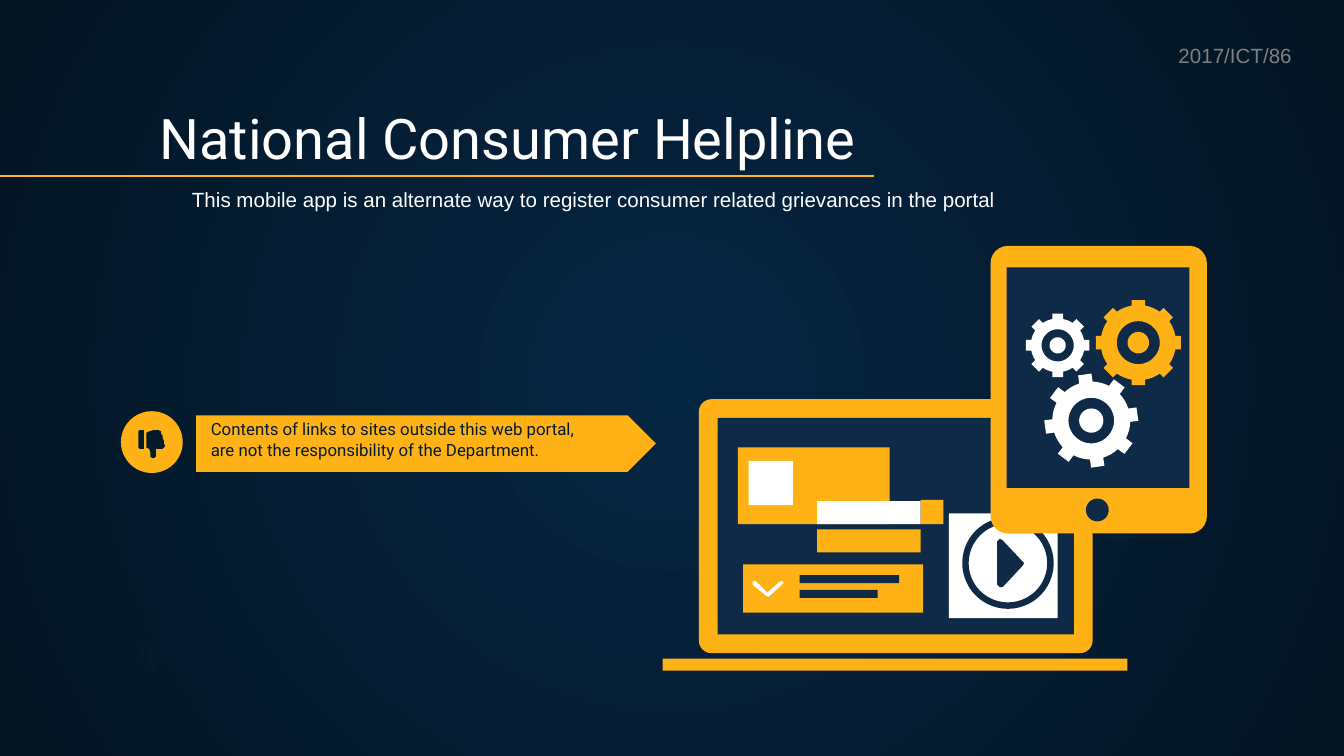
"""Build the National Consumer Helpline slide with its laptop and tablet artwork."""
from math import cos, sin, radians, asin, pi

from lxml.etree import SubElement
from pptx import Presentation
from pptx.dml.color import RGBColor
from pptx.enum.shapes import MSO_CONNECTOR, MSO_SHAPE
from pptx.enum.text import MSO_ANCHOR
from pptx.oxml.ns import qn
from pptx.util import Inches, Pt

AMBER = RGBColor(0xFF, 0xB2, 0x15)
NAVY = RGBColor(0x0E, 0x2A, 0x47)
WHITE = RGBColor(0xFF, 0xFF, 0xFF)
INK = RGBColor(0x04, 0x1B, 0x2E)
GRAY = RGBColor(0x80, 0x80, 0x80)
GLOW = RGBColor(0x05, 0x26, 0x43)
EDGE = RGBColor(0x04, 0x15, 0x23)

presentation = Presentation()
presentation.slide_width = Inches(10)
presentation.slide_height = Inches(10 * 9 / 16)
slide = presentation.slides.add_slide(presentation.slide_layouts[6])


def add_text(text, left, top, width, height, size=11, font="Arial", color=WHITE,
             anchor=MSO_ANCHOR.TOP, inset=0.1, wrap=True):
    box = slide.shapes.add_textbox(Inches(left), Inches(top), Inches(width), Inches(height))
    frame = box.text_frame
    frame.word_wrap = wrap
    frame.vertical_anchor = anchor
    frame.margin_left = frame.margin_right = Inches(0.1)
    frame.margin_top = frame.margin_bottom = Inches(inset)
    paragraph = frame.paragraphs[0]
    paragraph.text = text
    for run in paragraph.runs:
        run.font.size = Pt(size)
        run.font.name = font
        run.font.color.rgb = color


def paint(shape, color):
    shape.shadow.inherit = False
    shape.fill.solid()
    shape.fill.fore_color.rgb = color
    shape.line.fill.background()


fill = slide.background.fill
fill.gradient()
for stop, color, position in zip(fill.gradient_stops, (GLOW, EDGE), (0, 1)):
    stop.color.rgb = color
    stop.position = position
gradient = slide.background._cSld.find(".//" + qn("a:gradFill"))
gradient.remove(gradient.find(qn("a:lin")))
circle_path = SubElement(gradient, qn("a:path"), {"path": "circle"})
SubElement(circle_path, qn("a:fillToRect"), {side: "50000" for side in "ltrb"})

RECTANGLE = MSO_SHAPE.RECTANGLE
ROUNDED = MSO_SHAPE.ROUNDED_RECTANGLE
OVAL = MSO_SHAPE.OVAL
presets = [
    (MSO_SHAPE.PENTAGON, 1.46, 3.09, 3.42, 0.42, AMBER, 0.5),
    (OVAL, 0.9, 3.06, 0.46, 0.46, AMBER, None),
    (ROUNDED, 5.2, 2.97, 2.93, 1.89, AMBER, 0.05),
    (RECTANGLE, 5.34, 3.11, 2.65, 1.61, NAVY, None),
    (RECTANGLE, 4.93, 4.9, 3.46, 0.09, AMBER, None),
    (RECTANGLE, 5.49, 3.33, 1.13, 0.57, AMBER, None),
    (RECTANGLE, 5.57, 3.43, 0.33, 0.33, WHITE, None),
    (RECTANGLE, 5.53, 4.2, 1.34, 0.36, AMBER, None),
    (RECTANGLE, 5.95, 4.28, 0.74, 0.06, NAVY, None),
    (RECTANGLE, 5.95, 4.39, 0.58, 0.06, NAVY, None),
    (RECTANGLE, 6.08, 3.94, 0.77, 0.17, AMBER, None),
    (RECTANGLE, 6.08, 3.73, 0.77, 0.17, WHITE, None),
    (RECTANGLE, 6.85, 3.72, 0.17, 0.18, AMBER, None),
    (RECTANGLE, 7.06, 3.82, 0.81, 0.78, WHITE, None),
    (MSO_SHAPE.DONUT, 7.16, 3.85, 0.68, 0.68, NAVY, 0.07),
    (ROUNDED, 7.37, 1.83, 1.61, 2.14, AMBER, 0.08),
    (RECTANGLE, 7.49, 1.99, 1.36, 1.64, NAVY, None),
    (OVAL, 8.08, 3.71, 0.17, 0.17, NAVY, None),
]
for kind, left, top, width, height, color, adjustment in presets:
    shape = slide.shapes.add_shape(kind, Inches(left), Inches(top), Inches(width), Inches(height))
    paint(shape, color)
    if adjustment is not None:
        shape.adjustments[0] = adjustment

play = [(7.42, 4.03), (7.44, 4.01), (7.46, 4.02), (7.61, 4.18), (7.62, 4.19),
        (7.61, 4.21), (7.46, 4.37), (7.44, 4.37), (7.42, 4.35)]
chevron = [(5.6, 4.33), (5.62, 4.32), (5.71, 4.41), (5.8, 4.33), (5.82, 4.32), (5.83, 4.34),
           (5.72, 4.44), (5.71, 4.44), (5.6, 4.35)]
outlines = [(NAVY, [play]), (WHITE, [chevron])]

gears = [
    (8.47, 2.55, 0.32, 0.28, 0.05, 0.16, 0.08, 0, AMBER),
    (7.87, 2.57, 0.24, 0.2, 0.04, 0.12, 0.06, 0, WHITE),
    (8.12, 3.13, 0.35, 0.29, 0.05, 0.17, 0.09, -8, WHITE),
]
for x, y, tip, body, half_tooth, hole, hub, turn, color in gears:
    rim = []
    for tooth in range(8):
        middle = radians(turn + tooth * 45)
        root, end = asin(half_tooth / body), asin(half_tooth / tip)
        corners = [(body, -root), (tip, -end), (tip, end), (body, root)]
        gap = pi / 4 - 2 * root
        corners += [(body, root + gap * step / 4) for step in (1, 2, 3)]
        rim += [(x + radius * cos(middle + angle), y + radius * sin(middle + angle))
                for radius, angle in corners]
    rings = [[(x + radius * cos(radians(angle)), y + radius * sin(radians(angle)))
              for angle in range(0, 360, 10)] for radius in (hole, hub)]
    outlines.append((color, [rim] + rings))

cuff = [(1.03, 3.21), (1.04, 3.2), (1.07, 3.2), (1.07, 3.34), (1.04, 3.34), (1.03, 3.33)]
hand = [(1.09, 3.22), (1.11, 3.21), (1.14, 3.2), (1.18, 3.2), (1.2, 3.21), (1.2, 3.23),
        (1.21, 3.24), (1.21, 3.26), (1.22, 3.28), (1.22, 3.3), (1.23, 3.32), (1.21, 3.34),
        (1.16, 3.34), (1.16, 3.38), (1.16, 3.4), (1.14, 3.41), (1.12, 3.4),
        (1.12, 3.37), (1.11, 3.34), (1.09, 3.33)]
for drop in (0, 1.58):
    for part in (cuff, hand):
        outlines.append((INK, [[(x, y + drop) for x, y in part]]))

for color, contours in outlines:
    scaled = [[(Inches(x), Inches(y)) for x, y in contour] for contour in contours]
    builder = slide.shapes.build_freeform(*scaled[0][0])
    builder.add_line_segments(scaled[0][1:])
    for contour in scaled[1:]:
        builder.move_to(*contour[0])
        builder.add_line_segments(contour[1:])
    paint(builder.convert_to_shape(), color)

rule = slide.shapes.add_connector(MSO_CONNECTOR.STRAIGHT, Inches(0), Inches(1.31),
                                  Inches(6.5), Inches(1.31))
rule.line.color.rgb = AMBER
rule.line.width = Pt(0.75)
SubElement(rule._element.spPr, qn("a:effectLst"))

add_text("National Consumer Helpline", 1.09, 0.71, 8.57, 0.66, size=30, font="Roboto",
         anchor=MSO_ANCHOR.BOTTOM)
add_text("Contents of links to sites outside this web portal,\n"
         "are not the responsibility of the Department.", 1.47, 3.31, 3.22, 0.21,
         size=9, font="Roboto", color=INK, anchor=MSO_ANCHOR.BOTTOM)
add_text("This mobile app is an alternate way to register consumer related grievances in the portal",
         1.33, 1.3, 7.65, 0.52)
add_text("2017/ICT/86", 8.67, 0.27, 1.05, 0.29, color=GRAY, inset=0.05, wrap=False)

presentation.save("out.pptx")
